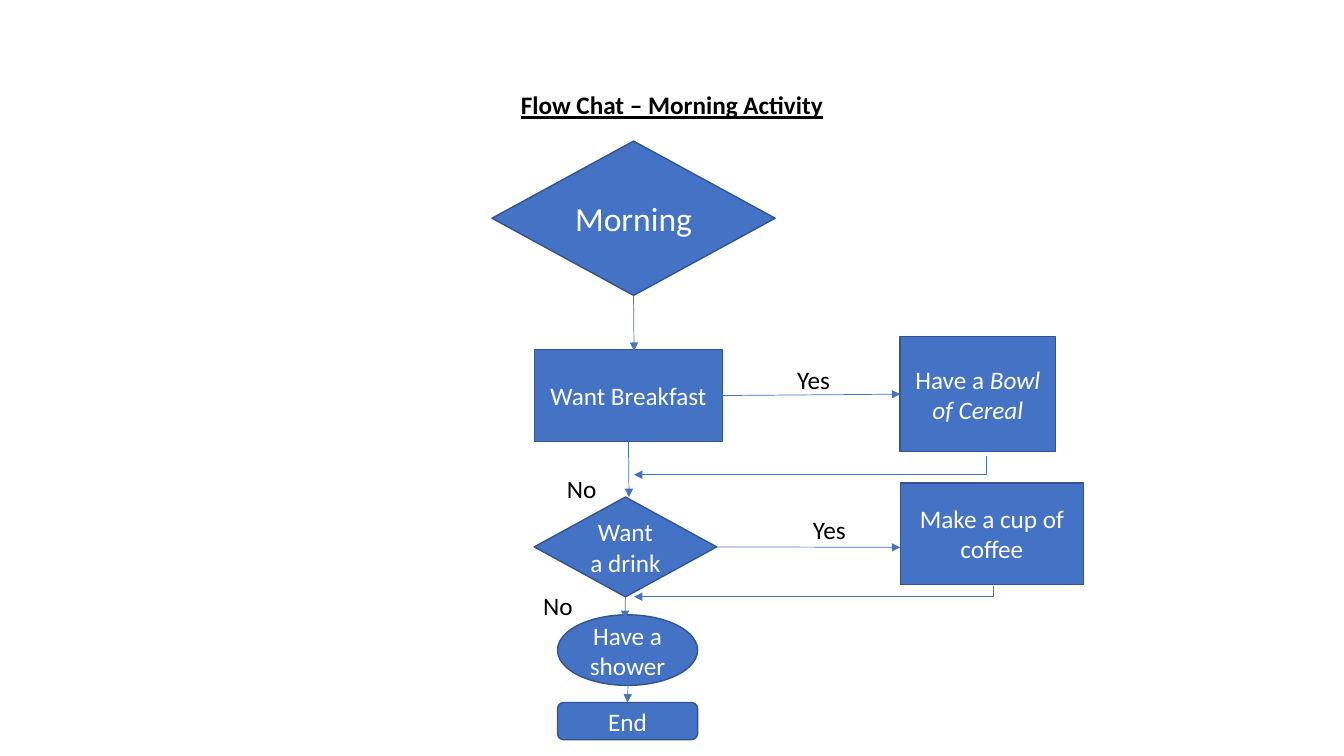
from lxml import etree
from pptx import Presentation
from pptx import util as u
from pptx.dml.color import RGBColor
from pptx.enum import shapes, text
from pptx.oxml.ns import qn

KINDS = shapes.MSO_SHAPE
TOP, LEFT, BOTTOM, RIGHT = range(4)


def colour(hex_value):
    return RGBColor.from_string(hex_value)


class FlowChart:
    """Holds the style and the slide being drawn."""
    FILL, EDGE, ON_FILL, INK = "4472C4", "325491", "FFFFFF", "000000"
    FONT = {"name": "Calibri", "size": u.Pt(18)}

    def __init__(self, slide):
        self.shapes = slide.shapes

    def add_wording(self, shape, runs, ink, frame_format, align, **font_format):
        frame = shape.text_frame
        for name, value in {"word_wrap": True, **frame_format}.items():
            setattr(frame, name, value)
        paragraph = frame.paragraphs[0]
        paragraph.alignment = align
        for number, part in enumerate(runs):
            for line_number, line in enumerate(part.split("\n")):
                if line_number:
                    paragraph.add_line_break()
                run = paragraph.add_run()
                run.text = line
                # Every run after the first is emphasised
                font = {**self.FONT, "italic": number > 0, **font_format}
                for name, value in font.items():
                    setattr(run.font, name, value)
                run.font.color.rgb = colour(ink)
        return paragraph

    def step(self, kind, box, *runs, **font_format):
        shape = self.shapes.add_shape(kind, *map(u.Pt, box))
        shape.shadow.inherit = False
        shape.fill.solid()
        shape.fill.fore_color.rgb = colour(self.FILL)
        shape.line.color.rgb = colour(self.EDGE)
        shape.line.width = u.Pt(1)
        middle = {"vertical_anchor": text.MSO_ANCHOR.MIDDLE}
        self.add_wording(shape, runs, self.ON_FILL, middle,
                         text.PP_ALIGN.CENTER, **font_format)
        return shape

    def title(self, box, wording):
        shape = self.shapes.add_textbox(*map(u.Pt, box))
        bottom = {"vertical_anchor": text.MSO_ANCHOR.BOTTOM}
        paragraph = self.add_wording(shape, [wording], self.INK, bottom,
                                     text.PP_ALIGN.CENTER, bold=True, underline=True)
        paragraph.line_spacing = 0.9

    def answer(self, left, top, width, wording, indent=7.2):
        shape = self.shapes.add_textbox(*map(u.Pt, (left, top, width, 28.8)))
        self.add_wording(shape, [wording], self.INK, {"margin_left": u.Pt(indent)},
                         text.PP_ALIGN.LEFT)

    def arrow(self, start, end, source=None, target=None,
              kind=shapes.MSO_CONNECTOR.STRAIGHT):
        line = self.shapes.add_connector(kind, *map(u.Pt, (*start, *end)))
        if source:
            line.begin_connect(*source)
        if target:
            line.end_connect(*target)
        line.line.color.rgb = colour(self.FILL)
        line.line.width = u.Pt(0.5)
        properties = line._element.spPr
        etree.SubElement(properties.find(qn("a:ln")), qn("a:tailEnd"), type="triangle")
        etree.SubElement(properties, qn("a:effectLst"))
        return line

    def return_arrow(self, start, end):
        """Goes down, then left: a two-part elbow turned by 90 degrees."""
        (x1, y1), (x2, y2) = start, end
        middle_x, middle_y = (x1 + x2) / 2, (y1 + y2) / 2
        half_drop, half_run = (y2 - y1) / 2, (x1 - x2) / 2
        line = self.arrow((middle_x - half_drop, middle_y - half_run),
                          (middle_x + half_drop, middle_y + half_run),
                          kind=shapes.MSO_CONNECTOR.ELBOW)
        properties = line._element.spPr
        properties.find(qn("a:xfrm")).set("rot", str(90 * 60000))
        properties.find(qn("a:prstGeom")).set("prst", "bentConnector2")


def main():
    deck = Presentation()
    deck.slide_width, deck.slide_height = u.Pt(960), u.Pt(540)
    chart = FlowChart(deck.slides.add_slide(deck.slide_layouts[6]))

    chart.title((120, 46.8, 720, 42.5), "Flow Chat – Morning Activity")

    # Steps
    morning = chart.step(KINDS.FLOWCHART_DECISION, (351.4, 100.8, 202.3, 110.2),
                         "Morning", size=u.Pt(24))
    breakfast = chart.step(KINDS.FLOWCHART_PROCESS, (381.6, 249.8, 134.6, 65.5),
                           "Want Breakfast")
    cereal = chart.step(KINDS.RECTANGLE, (643, 240.5, 110.9, 82.1),
                        "Have a", " Bowl of Cereal")
    drink = chart.step(KINDS.DIAMOND, (381.6, 355, 130.3, 71.3), "Want\na drink")
    chart.step(KINDS.RECTANGLE, (643, 344.9, 131, 72.7), "Make a cup of coffee")
    chart.step(KINDS.OVAL, (398.2, 439.2, 100.1, 50.4), "Have a shower")
    finish = chart.step(KINDS.ROUNDED_RECTANGLE, (398.2, 501.8, 100.1, 26.6), "End")

    # Arrows down the main column
    chart.arrow((452.9, 211), (452.9, 250.6), source=(morning, BOTTOM))
    chart.arrow((448.9, 315.4), (449.3, 355), source=(breakfast, BOTTOM))
    chart.arrow((446.4, 426.2), (446.4, 442.1), source=(drink, BOTTOM))
    chart.arrow((448.6, 488.9), (448.6, 501.8), target=(finish, TOP))

    # Arrows to the side steps and back
    chart.arrow((516.2, 283), (643, 283), (breakfast, RIGHT), (cereal, LEFT))
    chart.arrow((511.9, 391), (643, 391), source=(drink, RIGHT))
    chart.return_arrow((704.9, 325.4), (452.9, 339.1))
    chart.return_arrow((709.2, 418.3), (452.9, 426.2))

    # Answers beside the arrows
    chart.answer(562.3, 257, 52.6, "Yes")
    chart.answer(385.9, 334.8, 61.2, "No", indent=19)
    chart.answer(553.7, 363.6, 61.2, "Yes", indent=27)
    chart.answer(380.9, 418.3, 38.9, "No")

    deck.save("out.pptx")


if __name__ == "__main__":
    main()
